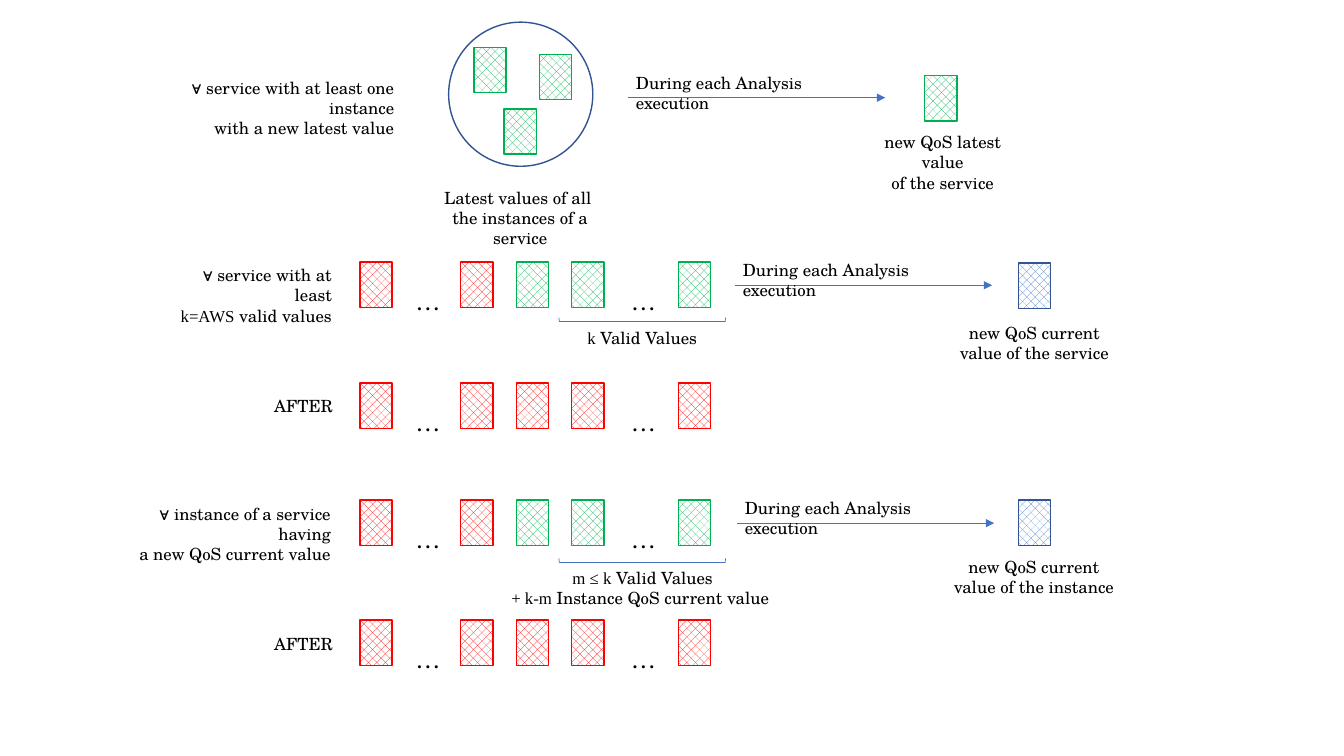
from lxml import etree
from pptx import Presentation
from pptx.dml.color import RGBColor
from pptx.enum.dml import MSO_PATTERN
from pptx.enum.shapes import MSO_CONNECTOR, MSO_SHAPE
from pptx.enum.text import PP_ALIGN
from pptx.oxml.ns import qn
from pptx.util import Inches, Pt

LEFT, CENTER, RIGHT = PP_ALIGN.LEFT, PP_ALIGN.CENTER, PP_ALIGN.RIGHT
HATCH = MSO_PATTERN.from_xml("pct40")
SERIF, TIMES = "TeX Gyre Schola", "Times New Roman"
COLORS = {"red": "FF0000", "green": "00B050", "blue": "4472C4",
          "navy": "325491", "white": "FFFFFF", "black": "000000"}

BOX_W, BOX_H = 0.32, 0.45
ARROW_LENGTH = 2.55
ARROW_CAPTION = "During each Analysis execution"

# One value sequence per row: top, then the colour of each slot (None is an ellipsis)
SLOT_LEFTS = [3.57, 4.02, 4.57, 5.12, 5.67, 6.16, 6.73]
BEFORE = ["red", None, "red", "green", "green", None, "green"]
AFTER = ["red", None, "red", "red", "red", None, "red"]
VALUE_ROWS = [(2.6, BEFORE), (3.8, AFTER), (4.96, BEFORE), (6.15, AFTER)]

# Single values: left, top, colour
INSTANCE_VALUES = [(4.7, 0.47, "green"), (5.35, 0.54, "green"), (5, 1.08, "green")]
RESULT_VALUES = [(9.17, 0.75, "green"), (10.1, 2.61, "blue"), (10.1, 4.96, "blue")]

ARROWS = [(6.23, 0.97), (7.29, 2.83), (7.31, 5.19)]
BRACKET_CENTERS = [(6.37, 3.17), (6.37, 5.56)]

# Left, top, width, height, alignment, paragraphs; a tuple is a Times New Roman
# start followed by the rest of the paragraph
LABELS = [
    (1.2, 0.72, 2.81, 0.5, RIGHT,
     ["∀ service with at least one instance", "with a new latest value"]),
    (4.14, 1.81, 2.04, 0.5, CENTER,
     ["Latest values of all ", "the instances of a service"]),
    (8.47, 1.26, 1.76, 0.5, CENTER, ["new QoS latest value", "of the service"]),
    (1.55, 2.58, 1.84, 0.5, RIGHT,
     ["∀ service with at least", ("k=AWS", " valid values")]),
    (5.67, 3.2, 1.4, 0.3, CENTER, [("k", " Valid Values")]),
    (9.36, 3.15, 1.8, 0.5, CENTER, ["new QoS current value of the service"]),
    (2.61, 3.88, 0.8, 0.3, CENTER, ["AFTER"]),
    (0.99, 4.95, 2.39, 0.5, RIGHT,
     ["∀ instance of a service having", "a new QoS current value"]),
    (4.81, 5.58, 3.13, 0.5, CENTER,
     [("m ≤ k", " Valid Values"), ("+ k-m ", "Instance QoS current value ")]),
    (9.32, 5.47, 1.87, 0.5, CENTER, ["new QoS current value of the instance"]),
    (2.61, 6.24, 0.8, 0.3, CENTER, ["AFTER"]),
]


def rgb(name):
    """Return the named colour."""
    return RGBColor.from_string(COLORS[name])


def add_outline(slide, kind, left, top, width, height, line, weight):
    """Add a preset shape with an outline and no shadow."""
    sp = slide.shapes.add_shape(kind, Inches(left), Inches(top),
                                Inches(width), Inches(height))
    sp.shadow.inherit = False
    sp.line.color.rgb = rgb(line)
    sp.line.width = Pt(weight)
    return sp


def add_value(slide, left, top, color):
    """Add one hatched value box."""
    line = "navy" if color == "blue" else color
    sp = add_outline(slide, MSO_SHAPE.RECTANGLE, left, top, BOX_W, BOX_H, line, 1)
    sp.fill.patterned()
    sp.fill.pattern = HATCH
    sp.fill.fore_color.rgb = rgb(color)
    sp.fill.back_color.rgb = rgb("white")


def add_label(slide, left, top, width, height, align, paragraphs, size=12):
    """Add a wrapped text box."""
    box = slide.shapes.add_textbox(Inches(left), Inches(top),
                                   Inches(width), Inches(height))
    tf = box.text_frame
    tf.word_wrap = True
    for i, content in enumerate(paragraphs):
        p = tf.paragraphs[0] if i == 0 else tf.add_paragraph()
        p.alignment = align
        start, rest = content if isinstance(content, tuple) else ("", content)
        for text, font in ((start, TIMES), (rest, SERIF)):
            if text:
                r = p.add_run()
                r.text = text
                r.font.name = font
                r.font.size = Pt(size)
                r.font.color.rgb = rgb("black")


def add_arrow(slide, left, y):
    """Add a horizontal arrow with its caption."""
    c = slide.shapes.add_connector(MSO_CONNECTOR.STRAIGHT, Inches(left), Inches(y),
                                   Inches(left + ARROW_LENGTH), Inches(y))
    c.line.color.rgb = rgb("blue")
    c.line.width = Pt(0.5)
    sp_pr = c._element.spPr
    etree.SubElement(sp_pr.find(qn("a:ln")), qn("a:tailEnd"), type="triangle")
    etree.SubElement(sp_pr, qn("a:effectLst"))
    add_label(slide, left - 0.02, y - 0.3, 2.53, 0.3, LEFT, [ARROW_CAPTION])


def add_bracket(slide, center_x, center_y, width=0.04, height=1.65):
    """Add a bracket that lies under a group of values."""
    sp = add_outline(slide, MSO_SHAPE.LEFT_BRACKET, center_x - width / 2,
                     center_y - height / 2, width, height, "blue", 0.5)
    sp.fill.background()
    sp.rotation = 270


prs = Presentation()
prs.slide_width, prs.slide_height = Inches(13.33), Inches(7.5)
slide = prs.slides.add_slide(prs.slide_layouts[6])

service = add_outline(slide, MSO_SHAPE.OVAL, 4.45, 0.22, 1.43, 1.43, "navy", 1)
service.fill.solid()
service.fill.fore_color.rgb = rgb("white")

for value in INSTANCE_VALUES + RESULT_VALUES:
    add_value(slide, *value)
for top, slots in VALUE_ROWS:
    for left, color in zip(SLOT_LEFTS, slots):
        if color:
            add_value(slide, left, top, color)
        else:
            add_label(slide, left, top + 0.18, 0.41, 0.4, LEFT, ["…"], size=18)
for center in BRACKET_CENTERS:
    add_bracket(slide, *center)
for arrow in ARROWS:
    add_arrow(slide, *arrow)
for label in LABELS:
    add_label(slide, *label)

prs.save("out.pptx")
